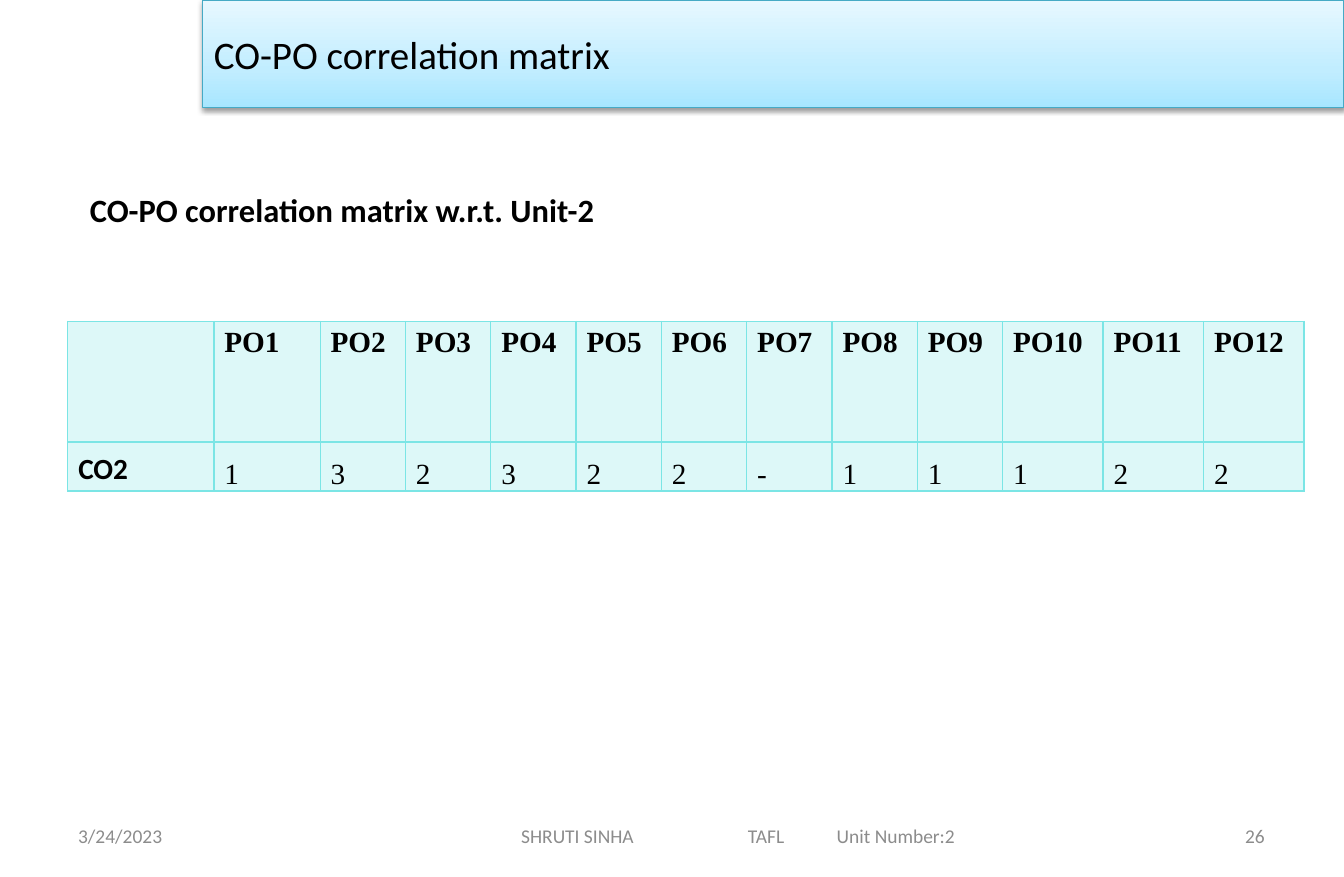
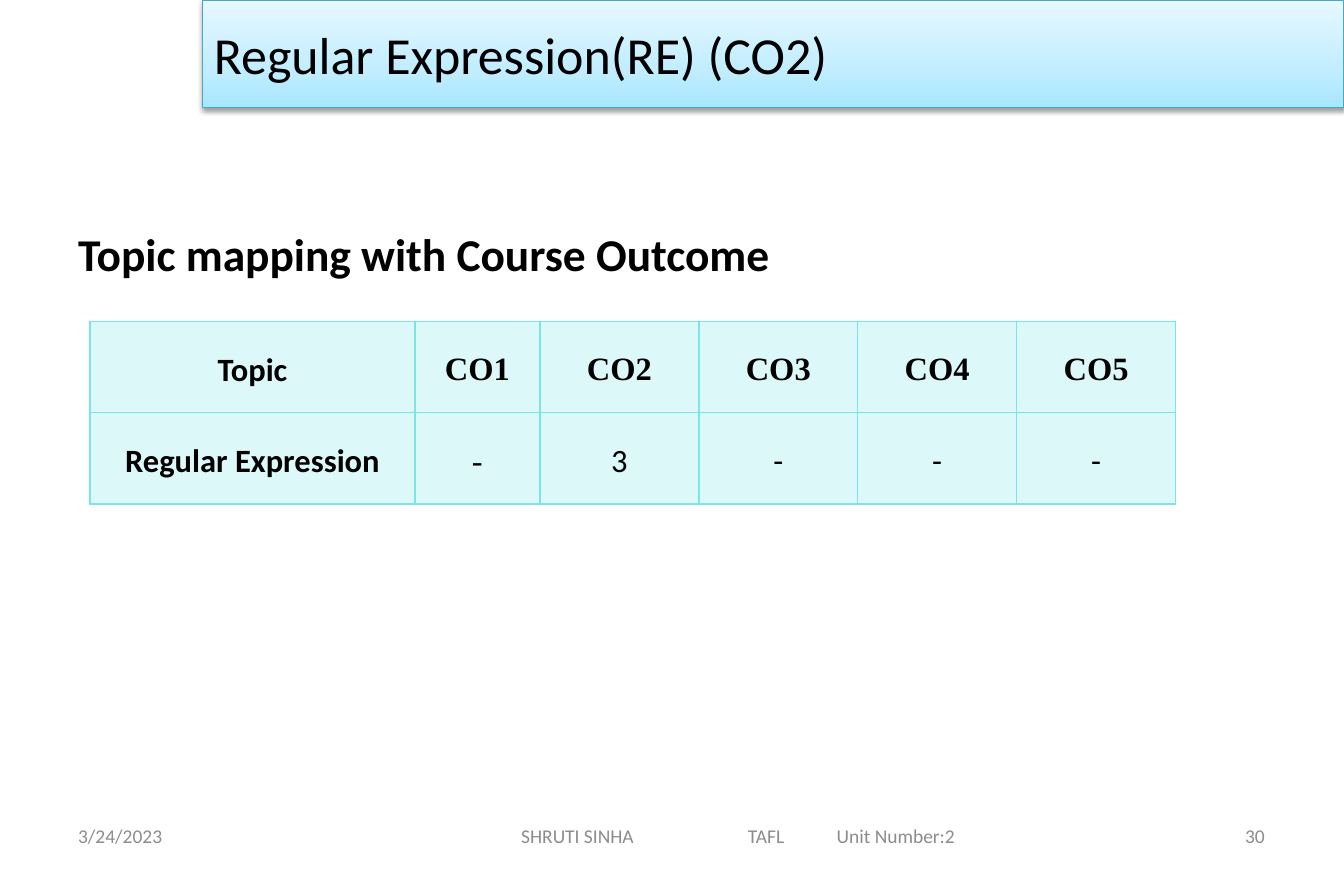
from copy import deepcopy
from dataclasses import dataclass, replace

from lxml.etree import SubElement
from pptx import Presentation
from pptx.dml.color import RGBColor
from pptx.enum.text import MSO_ANCHOR, MSO_AUTO_SIZE, PP_ALIGN
from pptx.oxml.ns import qn
from pptx.slide import Slide
from pptx.table import _Cell
from pptx.text.text import _Paragraph
from pptx.util import Inches, Pt

COLORS = {
    "text": "000000",
    "footer": "8C8C8C",
    "band_bottom": "A7E6FF",
    "band_middle": "C1EDFF",
    "band_top": "E7F8FF",
    "band_line": "46AAC5",
    "table": "7BE5E5",
}
SANS = "Calibri"
SERIF = "Times New Roman"
FOOTER_TOP = 6.95
FOOTER_HEIGHT = 0.4


@dataclass(frozen=True)
class TextStyle:
    font: str = SANS
    size: float = 12
    bold: bool = False
    color: str = "text"
    align: PP_ALIGN = PP_ALIGN.LEFT
    anchor: MSO_ANCHOR = MSO_ANCHOR.MIDDLE
    after: float = 0


@dataclass(frozen=True)
class Heading:
    text: str
    left: float
    top: float
    width: float
    height: float
    size: float


@dataclass(frozen=True)
class Grid:
    left: float
    top: float
    columns: list[float]
    rows: list[float]
    cells: list[list[tuple[str, TextStyle]]]


@dataclass(frozen=True)
class Page:
    title: str
    title_size: float
    number: str
    heading: Heading
    grid: Grid


def rgb(name: str) -> RGBColor:
    return RGBColor.from_string(COLORS[name])


def format_paragraph(para: _Paragraph, style: TextStyle) -> None:
    para.alignment = style.align
    if style.after:
        para.space_after = Pt(style.after)
    para.font.name = style.font
    para.font.size = Pt(style.size)
    para.font.bold = style.bold
    para.font.color.rgb = rgb(style.color)


def add_text(slide: Slide, text: str, left: float, top: float, width: float,
             height: float, style: TextStyle, indent: float = 0.1,
             tabs: tuple[float, ...] = ()) -> None:
    box = slide.shapes.add_textbox(Inches(left), Inches(top), Inches(width), Inches(height))
    frame = box.text_frame
    frame.word_wrap = True
    frame.vertical_anchor = style.anchor
    frame.margin_left = Inches(indent)
    para = frame.paragraphs[0]
    para.text = text
    if tabs:
        tab_list = SubElement(para._p.get_or_add_pPr(), qn("a:tabLst"))
        for position in tabs:
            SubElement(tab_list, qn("a:tab"), pos=str(Inches(position)), algn="l")
    format_paragraph(para, style)


def format_title(slide: Slide, text: str, size: float) -> None:
    title = slide.shapes.title
    title.left, title.top = Inches(1.73), Inches(0)
    title.width, title.height = Inches(9.77), Inches(0.92)

    title.fill.gradient()
    title.fill.gradient_angle = 90
    properties = title._element.spPr
    stop_list = properties.find(".//" + qn("a:gsLst"))
    stop_list.insert(1, deepcopy(stop_list[0]))
    bands = ((0, "band_bottom"), (0.35, "band_middle"), (1, "band_top"))
    for stop, (position, color) in zip(title.fill.gradient_stops, bands):
        stop.position = position
        stop.color.rgb = rgb(color)
    title.line.color.rgb = rgb("band_line")
    title.line.width = Pt(0.75)

    effects = SubElement(properties, qn("a:effectLst"))
    shadow = SubElement(effects, qn("a:outerShdw"), blurRad=str(Pt(3.1)),
                        dist=str(Pt(1.6)), dir="5400000", rotWithShape="0")
    shade = SubElement(shadow, qn("a:srgbClr"), val=COLORS["text"])
    SubElement(shade, qn("a:alpha"), val="38000")

    frame = title.text_frame
    frame.text = text
    frame.auto_size = MSO_AUTO_SIZE.NONE
    frame.vertical_anchor = MSO_ANCHOR.MIDDLE
    format_paragraph(frame.paragraphs[0], TextStyle(size=size))


def add_footer(slide: Slide, number: str) -> None:
    style = TextStyle(color="footer")
    add_text(slide, "3/24/2023", 0.57, FOOTER_TOP, 2.68, FOOTER_HEIGHT, style)
    add_text(slide, "SHRUTI SINHA\tTAFL\tUnit Number:2", 3.16, FOOTER_TOP, 6.33,
             FOOTER_HEIGHT, style, indent=1.3, tabs=(1.94, 2.7))
    add_text(slide, number, 8.24, FOOTER_TOP, 2.68, FOOTER_HEIGHT,
             replace(style, align=PP_ALIGN.RIGHT))


def format_cell(cell: _Cell, text: str, style: TextStyle) -> None:
    properties = cell._tc.get_or_add_tcPr()
    for side in ("a:lnL", "a:lnR", "a:lnT", "a:lnB"):
        line = SubElement(properties, qn(side), w=str(Pt(1)))
        fill = SubElement(line, qn("a:solidFill"))
        SubElement(fill, qn("a:srgbClr"), val=COLORS["table"])
    cell.fill.solid()
    cell.fill.fore_color.rgb = rgb("table")
    tint = properties.find(qn("a:solidFill")).find(qn("a:srgbClr"))
    SubElement(tint, qn("a:alpha"), val="25000")

    cell.margin_left = cell.margin_right = Inches(0.09)
    cell.margin_top = cell.margin_bottom = Inches(0)
    cell.vertical_anchor = style.anchor
    para = cell.text_frame.paragraphs[0]
    para.text = text
    para.line_spacing = 1.15
    format_paragraph(para, style)


def add_grid(slide: Slide, grid: Grid) -> None:
    frame = slide.shapes.add_table(
        len(grid.rows), len(grid.columns), Inches(grid.left), Inches(grid.top),
        Inches(sum(grid.columns)), Inches(sum(grid.rows)))
    table = frame.table
    table.first_row = table.horz_banding = False
    for column, width in zip(table.columns, grid.columns):
        column.width = Inches(width)
    for row, height, entries in zip(table.rows, grid.rows, grid.cells):
        row.height = Inches(height)
        for cell, (text, style) in zip(row.cells, entries):
            format_cell(cell, text, style)


def correlation_grid() -> Grid:
    label = TextStyle(size=18, bold=True)
    header = replace(label, font=SERIF, align=PP_ALIGN.JUSTIFY, anchor=MSO_ANCHOR.TOP)
    value = TextStyle(font=SERIF, size=18, anchor=MSO_ANCHOR.BOTTOM, after=10)
    return Grid(
        0.58, 2.75, [1.25, 0.91] + [0.73] * 8 + [0.86] * 3, [1.03, 0.42],
        [[("", header)] + [(f"PO{index}", header) for index in range(1, 13)],
         [("CO2", label)] + [(mark, value) for mark in "132322-11122"]])


def topic_grid() -> Grid:
    label = TextStyle(size=20, bold=True, align=PP_ALIGN.CENTER)
    header = replace(label, font=SERIF)
    value = replace(label, bold=False, after=10)
    return Grid(
        0.77, 2.75, [2.78, 1.07] + [1.36] * 4, [0.78] * 2,
        [[("Topic", label)] + [(f"CO{index}", header) for index in range(1, 6)],
         [("Regular Expression", label), ("-", replace(value, font=SERIF))]
         + [(mark, value) for mark in "3---"]])


def add_page(deck: Presentation, page: Page) -> None:
    slide = deck.slides.add_slide(deck.slide_layouts[5])
    format_title(slide, page.title, page.title_size)
    heading = page.heading
    add_text(slide, heading.text, heading.left, heading.top, heading.width, heading.height,
             TextStyle(size=heading.size, bold=True, anchor=MSO_ANCHOR.TOP))
    add_grid(slide, page.grid)
    add_footer(slide, page.number)


def main() -> None:
    deck = Presentation()
    deck.slide_width = Inches(11.5)
    deck.slide_height = Inches(7.5)
    pages = [
        Page("CO-PO correlation matrix", 24, "26",
             Heading("CO-PO correlation matrix w.r.t. Unit-2", 0.67, 1.58, 4.8, 0.44, 20),
             correlation_grid()),
        Page("Regular Expression(RE) (CO2)", 32, "30",
             Heading("Topic mapping with Course Outcome", 0.57, 1.88, 10.35, 0.6, 28),
             topic_grid()),
    ]
    for page in pages:
        add_page(deck, page)
    deck.save("out.pptx")


if __name__ == "__main__":
    main()
